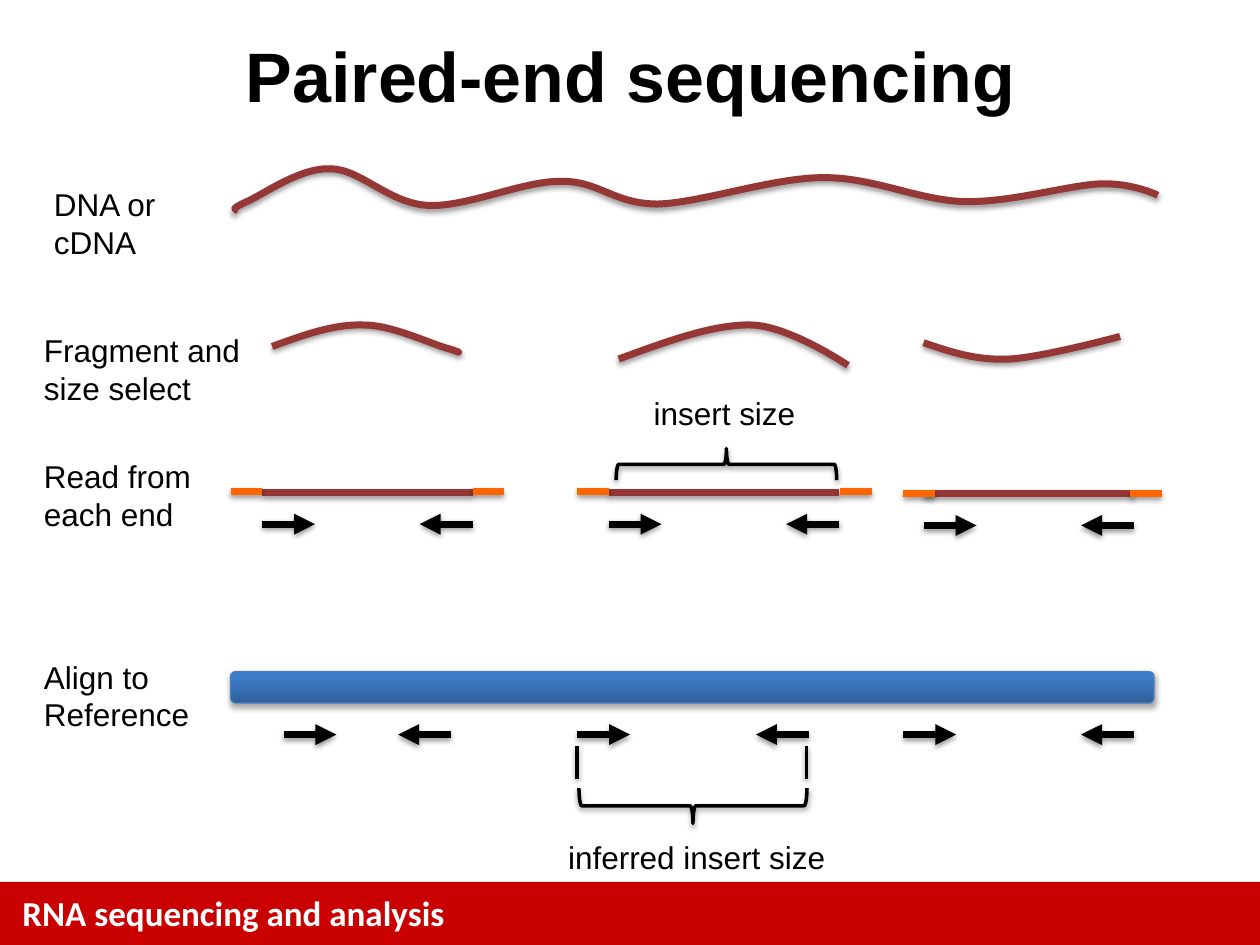
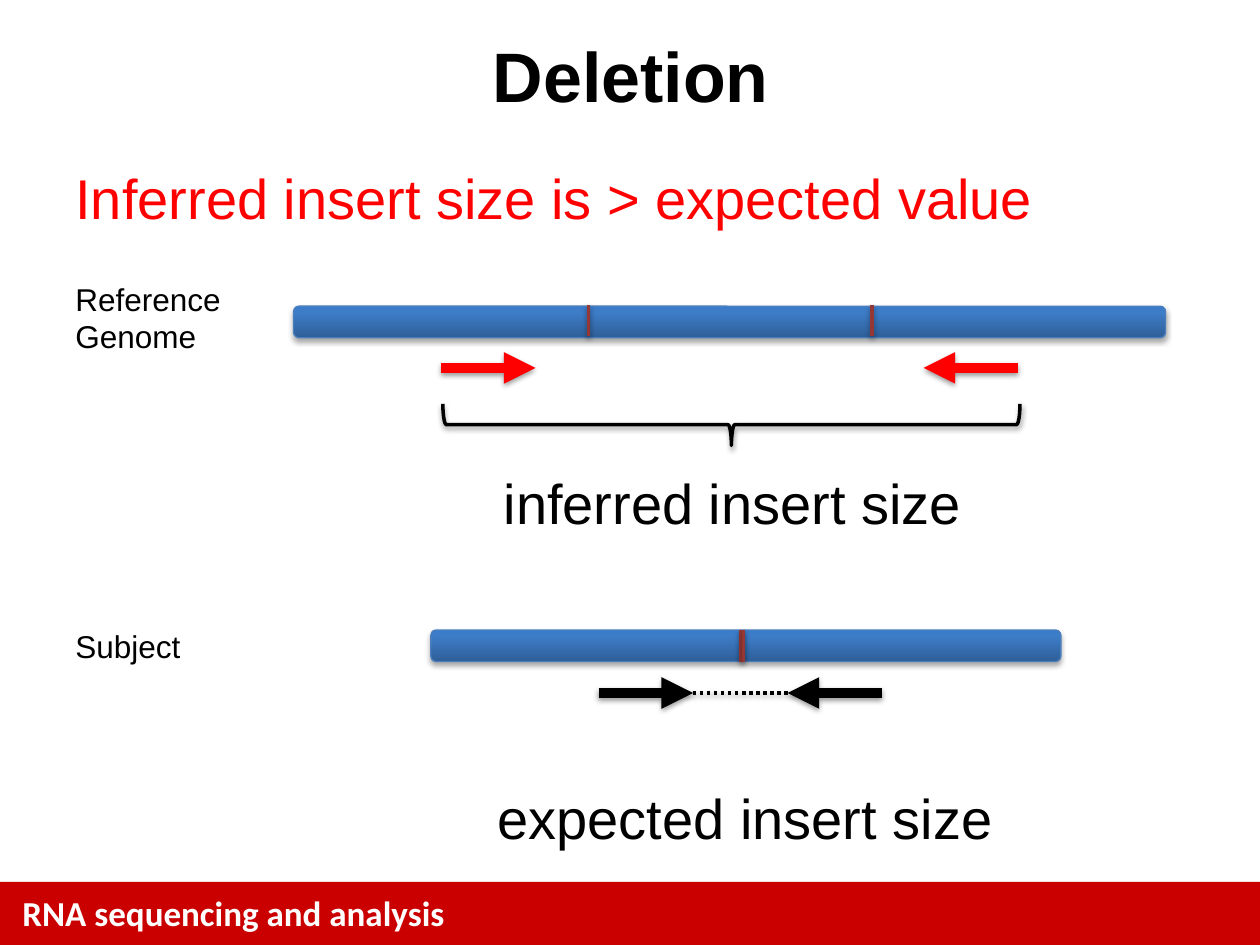
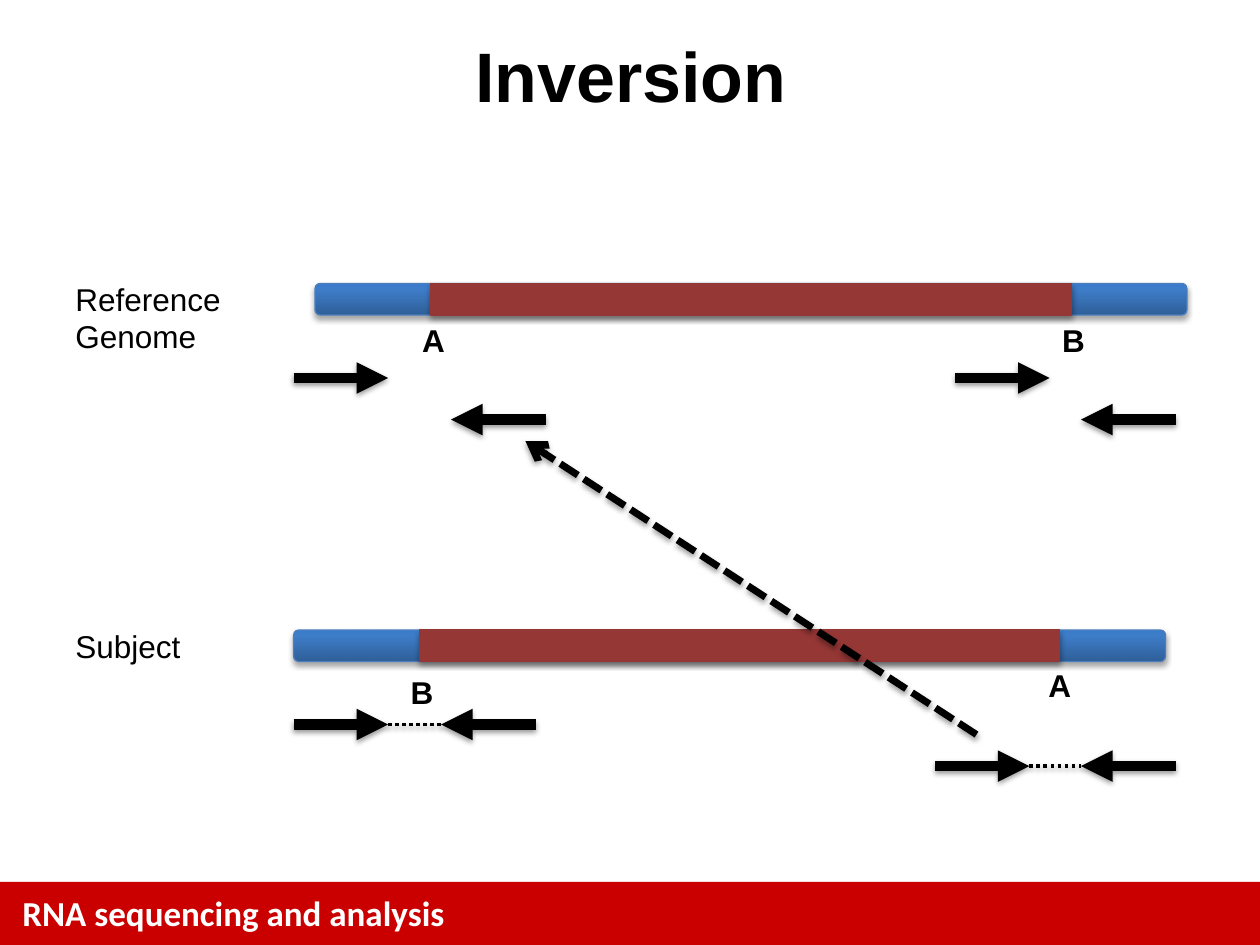
from dataclasses import dataclass
from copy import deepcopy
from lxml.etree import SubElement
from pptx import Presentation
from pptx.dml.color import RGBColor
from pptx.enum.dml import MSO_LINE
from pptx.enum.shapes import MSO_CONNECTOR, MSO_SHAPE
from pptx.enum.text import MSO_ANCHOR, MSO_AUTO_SIZE, PP_ALIGN
from pptx.oxml.ns import qn
from pptx.util import Inches, Pt


@dataclass(frozen=True)
class Theme:
    black: str = "000000"
    white: str = "FFFFFF"
    band: str = "CA0000"
    red: str = "FF0000"
    strand: str = "953735"
    orange: str = "FF6600"
    edge: str = "4B7EBC"
    blues: tuple = ((0, "2F5F99"), (0.8, "3D7CC7"), (1, "3A7CCB"))
    font: str = "Arial"
    foot: str = "Calibri"
    title: int = 40
    large: int = 32
    course: int = 20
    label: int = 18


theme = Theme()


def text(page, box, runs, align=PP_ALIGN.LEFT, wrap=True, anchor=MSO_ANCHOR.TOP, font=theme.font):
    frame = page.shapes.add_textbox(*map(Inches, box)).text_frame
    frame.word_wrap = wrap
    frame.vertical_anchor = anchor
    if anchor == MSO_ANCHOR.TOP:
        frame.auto_size = MSO_AUTO_SIZE.SHAPE_TO_FIT_TEXT
    para = frame.paragraphs[0]
    para.alignment = align
    for words, size, color, bold in runs:
        run = para.add_run()
        run.text = words
        run.font.name = font
        run.font.size = Pt(size)
        run.font.bold = bold
        run.font.color.rgb = RGBColor.from_string(color)


def ink(shape, color, width, dash=None, tip=None, alpha=38, drop=1.6):
    shape.line.color.rgb = RGBColor.from_string(color)
    shape.line.width = Pt(width)
    if dash:
        shape.line.dash_style = dash
    form = shape.element.find(qn("p:spPr"))
    if tip:
        SubElement(form.find(qn("a:ln")), qn("a:tailEnd"), type=tip)
    glow = SubElement(SubElement(form, qn("a:effectLst")), qn("a:outerShdw"), blurRad=str(Pt(3.1)),
                      dist=str(Pt(drop)), dir="5400000", rotWithShape="0")
    shade = SubElement(glow, qn("a:srgbClr"), val=theme.black)
    SubElement(shade, qn("a:alpha"), val=str(alpha * 1000))


frags = [(2.08, 3.75, 3.91), (4.83, 6.66, 3.91), (7.33, 9, 3.92)]
hits = [(2.25, 3.58), (4.58, 6.42), (7.17, 9)]
ends = [(1.83, 3.9), (3.75, 3.9), (4.58, 3.9), (6.67, 3.9), (7.17, 3.92), (8.97, 3.92)]
ticks = [(4.67, 2.42), (6.92, 2.42), (5.88, 5), (5.9, 5)]
gaps = [(3.08, 3.5, 5.75), (8.17, 8.58, 6.08)]

pages = [
    {
        "title": "Paired-end sequencing",
        "curves": [
            [(1.89, 1.67), (1.86, 1.66), (1.83, 1.66), (1.96, 1.6), (2.08, 1.55), (2.38, 1.33),
             (2.62, 1.34), (2.86, 1.34), (3.08, 1.61), (3.39, 1.63), (3.69, 1.65), (4.14, 1.44),
             (4.44, 1.44), (4.75, 1.43), (4.87, 1.62), (5.22, 1.62), (5.57, 1.61), (6.13, 1.41),
             (6.54, 1.41), (6.94, 1.41), (7.29, 1.59), (7.65, 1.6), (8.02, 1.61), (8.48, 1.47),
             (8.73, 1.46), (8.99, 1.45), (9.19, 1.55), (9.19, 1.55)],
            [(2.16, 2.75), (2.41, 2.66), (2.65, 2.57), (2.89, 2.58), (3.12, 2.58), (3.44, 2.74),
             (3.57, 2.77), (3.69, 2.81), (3.62, 2.79), (3.62, 2.79)],
            [(7.33, 2.72), (7.54, 2.79), (7.74, 2.86), (8, 2.85), (8.26, 2.84), (8.89, 2.67), (8.89, 2.67)],
            [(4.91, 2.85), (5.29, 2.71), (5.67, 2.57), (5.97, 2.58), (6.27, 2.59), (6.73, 2.9), (6.73, 2.9)],
        ],
        "bars": [(1.83, 5.33, 7.33)],
        "lines": [(a, y, b, y, theme.strand, 4) for a, b, y in frags]
        + [(x, y, x + 0.25, y, theme.orange, 4) for x, y in ends]
        + [(x, 5.92, x, 6.18, theme.black, 2) for x in (4.58, 6.4)],
        "reach": 0.42,
        "thick": 4,
        "pairs": [(a, b, y + 0.25, 0, theme.black) for a, b, y in frags]
        + [(a, b, 5.83, 0, theme.black) for a, b in hits],
        "braces": [(5.64, 2.81, 0.25, 1.75, 90), (5.36, 5.49, 0.28, 1.81, 270)],
        "notes": [
            ((0.33, 1.42, 1.25, 0.71), "DNA or cDNA"),
            ((0.25, 2.58, 1.76, 0.71), "Fragment and size select"),
            ((0.25, 3.58, 1.42, 0.71), "Read from each end"),
            ((0.25, 5.17, 1.43, 0.71), "Align to Reference"),
        ],
        "tags": [
            ((5.08, 3.08, 1.34, 0.4), "insert size", theme.label, False),
            ((4.4, 6.6, 2.26, 0.4), "inferred insert size", theme.label, False),
        ],
    },
    {
        "title": "Deletion",
        "lead": "Inferred insert size is > expected value",
        "bars": [(2.33, 2.43, 6.92), (3.42, 5, 5)],
        "lines": [(x, y, x, y + 0.25, theme.strand, 2) for x, y in ticks]
        + [(5.33, 5.5, 6.33, 5.5, theme.black, 2, MSO_LINE.ROUND_DOT)],
        "pairs": [(4.75, 7, 5.5, 0, theme.black), (3.5, 8.08, 2.92, 0, theme.red)],
        "braces": [(5.64, 1.08, 0.33, 4.58, 270)],
        "tags": [
            ((3.83, 6.17, 4.17, 0.64), "expected insert size", theme.large, False),
            ((3.88, 3.67, 3.87, 0.64), "inferred insert size", theme.large, False),
        ],
    },
    {
        "title": "Inversion",
        "bars": [(2.5, 2.25, 6.92), (2.33, 5, 6.92)],
        "blocks": [(3.42, 2.25, 5.08), (3.33, 5, 5.08)],
        "lines": [(a, y, b, y, theme.black, 2, MSO_LINE.ROUND_DOT) for a, b, y in gaps]
        + [(7.75, 5.83, 4.17, 3.5, theme.black, 4, MSO_LINE.SQUARE_DOT, "arrow")],
        "pairs": [
            (2.33, 4.33, 3, 0.33, theme.black),
            (7.58, 9.33, 3, 0.33, theme.black),
            (2.33, 4.25, 5.75, 0, theme.black),
            (7.42, 9.33, 6.08, 0, theme.black),
        ],
        "tags": [
            ((x, y, 0.38, 0.4), name, theme.label, True)
            for x, y, name in [(3.25, 2.5, "A"), (8.33, 2.5, "B"), (3.16, 5.29, "B"), (8.22, 5.24, "A")]
        ],
    },
]
for plan in pages[1:]:
    plan["notes"] = [((0.5, 2.17, 1.42, 0.71), "Reference Genome"), ((0.5, 4.93, 1.42, 0.4), "Subject")]

deck = Presentation()
deck.slide_width = Inches(10)
deck.slide_height = Inches(7.5)

for plan in pages:
    page = deck.slides.add_slide(deck.slide_layouts[6])
    band = page.shapes.add_shape(MSO_SHAPE.RECTANGLE, Inches(0), Inches(7), Inches(10), Inches(0.5))
    band.shadow.inherit = False
    band.fill.solid()
    band.fill.fore_color.rgb = RGBColor.from_string(theme.band)
    band.line.fill.background()
    text(page, (0.08, 7.03, 7.33, 0.43),
         [("RNA sequencing and analysis", theme.course, theme.white, True)], font=theme.foot)
    text(page, (0.17, -0.03, 9.67, 1.25), [(plan["title"], theme.title, theme.black, True)],
         PP_ALIGN.CENTER, anchor=MSO_ANCHOR.MIDDLE)

    for curve in plan.get("curves", []):
        spots = [(Inches(x), Inches(y)) for x, y in curve]
        pen = page.shapes.build_freeform(*spots[0])
        pen.add_line_segments(spots[1:], close=False)
        wave = pen.convert_to_shape()
        wave.fill.background()
        steps = list(wave.element.iter(qn("a:lnTo")))
        for first, second, third in zip(steps[::3], steps[1::3], steps[2::3]):
            first.tag = qn("a:cubicBezTo")
            for step in (second, third):
                first.append(step[0])
                step.getparent().remove(step)
        ink(wave, theme.strand, 4)

    for x, y, wide in plan["bars"]:
        bar = page.shapes.add_shape(MSO_SHAPE.ROUNDED_RECTANGLE, Inches(x), Inches(y), Inches(wide), Inches(0.25))
        bar.fill.gradient()
        bar.fill.gradient_angle = 90
        stops = next(bar.element.iter(qn("a:gsLst")))
        stops.append(deepcopy(stops[-1]))
        for stop, (place, color) in zip(bar.fill.gradient_stops, theme.blues):
            stop.position = place
            stop.color.rgb = RGBColor.from_string(color)
        ink(bar, theme.edge, 0.75, alpha=35, drop=1.8)

    for x, y, wide in plan.get("blocks", []):
        block = page.shapes.add_shape(MSO_SHAPE.RECTANGLE, Inches(x), Inches(y), Inches(wide), Inches(0.25))
        block.fill.solid()
        block.fill.fore_color.rgb = RGBColor.from_string(theme.strand)
        ink(block, theme.strand, 0.75, alpha=35, drop=1.8)

    lines = list(plan["lines"])
    reach = plan.get("reach", 0.75)
    thick = plan.get("thick", 6)
    for left, right, y, drop, color in plan["pairs"]:
        low = y + drop
        lines.append((left, y, left + reach, y, color, thick, None, "triangle"))
        lines.append((right, low, right - reach, low, color, thick, None, "triangle"))
    for *spots, color, width, dash, tip in [(line + (None, None))[:8] for line in lines]:
        ink(page.shapes.add_connector(MSO_CONNECTOR.STRAIGHT, *map(Inches, spots)), color, width, dash, tip)

    for *box, turn in plan.get("braces", []):
        brace = page.shapes.add_shape(MSO_SHAPE.LEFT_BRACE, *map(Inches, box))
        brace.rotation = turn
        brace.fill.background()
        ink(brace, theme.black, 2)

    if "lead" in plan:
        text(page, (0.5, 1.25, 8.58, 0.64), [(plan["lead"], theme.large, theme.red, False)])
    for box, words in plan["notes"]:
        text(page, box, [(words, theme.label, theme.black, False)])
    for box, words, size, bold in plan["tags"]:
        text(page, box, [(words, size, theme.black, bold)], PP_ALIGN.CENTER, wrap=False)

deck.save("out.pptx")
